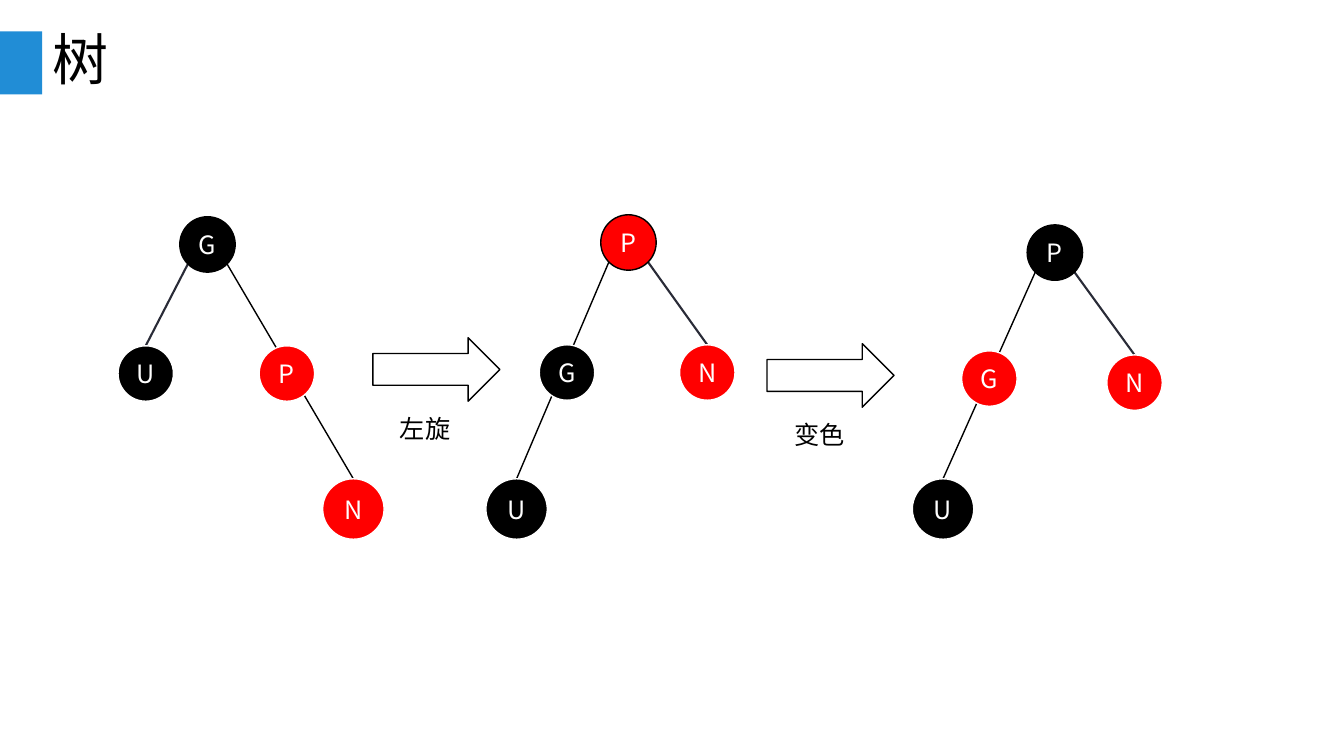
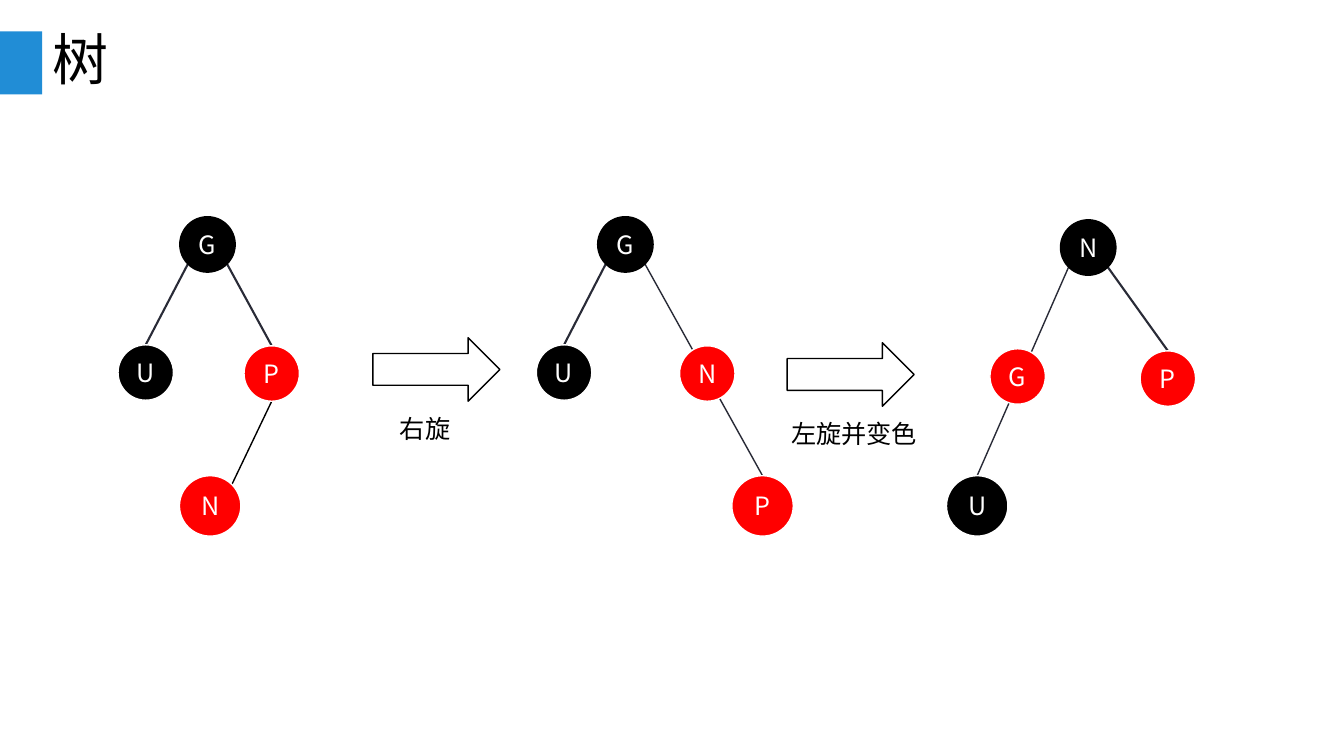
from math import cos, radians, sin

from pptx import Presentation
from pptx.dml.color import RGBColor
from pptx.enum.shapes import MSO_CONNECTOR, MSO_SHAPE
from pptx.enum.text import MSO_ANCHOR, MSO_AUTO_SIZE, PP_ALIGN
from pptx.oxml.ns import qn
from pptx.util import Pt

FONT = "Noto Sans CJK SC"
BLACK, RED, WHITE, SLATE, BLUE = "000000", "FF0000", "FFFFFF", "292B37", "218DD6"

# Node diameters and outlines by depth in the tree
NODE_SIZES = [(39.6, 39.6), (39.6, 39.6), (43.9, 43.2)]
NODE_OUTLINES = [BLACK, WHITE, WHITE]
ARROW_WIDTH, ARROW_HEIGHT = 90.7, 45.4

# Points on a node's rim, in degrees clockwise from the right
LOWER_RIGHT, BOTTOM, LOWER_LEFT, TOP, UPPER_RIGHT = 45, 90, 135, 270, 315

THIN_BLACK, THIN_SLATE, THICK_SLATE = (BLACK, 1), (SLATE, 1), (SLATE, 1.5)

# Each tree: nodes {label: (centre x, centre y, depth, fill)} and
# edges (upper node, its rim point, lower node, its rim point, line style).
# Each step: arrow left, arrow top, label left, label.
SLIDES = [
    {
        "trees": [
            ({"G": (148.2, 174.6, 0, BLACK), "U": (104.1, 266.8, 1, BLACK),
              "P": (204.9, 266.8, 1, RED), "N": (252.4, 363.6, 2, RED)},
             [("G", LOWER_LEFT, "U", TOP, THICK_SLATE),
              ("G", LOWER_RIGHT, "N", TOP, THIN_BLACK)]),
            ({"P": (448.9, 173.2, 0, RED), "G": (405, 266.1, 1, BLACK),
              "N": (505.2, 266.1, 1, RED), "U": (369, 363.6, 2, BLACK)},
             [("P", LOWER_LEFT, "U", TOP, THIN_BLACK),
              ("P", LOWER_RIGHT, "N", TOP, THICK_SLATE)]),
            ({"P": (753.5, 180.4, 0, BLACK), "G": (706.7, 270.4, 1, RED),
              "N": (810.4, 273.3, 1, RED), "U": (673.6, 363.6, 2, BLACK)},
             [("P", LOWER_LEFT, "U", TOP, THIN_BLACK),
              ("P", LOWER_RIGHT, "N", TOP, THICK_SLATE)]),
        ],
        "steps": [(266.4, 241.2, 278.6, "左旋"), (547.9, 245.5, 560.2, "变色")],
    },
    {
        "trees": [
            ({"G": (148.2, 174.6, 0, BLACK), "U": (104.1, 266.1, 1, BLACK),
              "P": (194.1, 266.8, 1, RED), "N": (150.1, 361.4, 2, RED)},
             [("G", LOWER_LEFT, "U", TOP, THICK_SLATE),
              ("G", LOWER_RIGHT, "P", TOP, THICK_SLATE),
              ("P", BOTTOM, "N", UPPER_RIGHT, THIN_BLACK)]),
            ({"G": (446.7, 174.6, 0, BLACK), "U": (402.9, 266.1, 1, BLACK),
              "N": (505.2, 266.8, 1, RED), "P": (544.7, 361.4, 2, RED)},
             [("G", LOWER_LEFT, "U", TOP, THICK_SLATE),
              ("G", LOWER_RIGHT, "P", TOP, THIN_SLATE)]),
            ({"N": (777.3, 176.8, 0, BLACK), "G": (726.9, 268.9, 1, RED),
              "P": (834.2, 270.4, 1, RED), "U": (698, 361.4, 2, BLACK)},
             [("N", LOWER_LEFT, "U", TOP, THIN_SLATE),
              ("N", LOWER_RIGHT, "P", TOP, THICK_SLATE)]),
        ],
        "steps": [(266.4, 241.2, 278.6, "右旋"), (562.3, 244.8, 558, "左旋并变色")],
    },
]

rgb = RGBColor.from_string


def write(shape, text, size, color, align):
    """Put one formatted line of text into a shape and return its paragraph."""
    shape.text_frame.text = text
    paragraph = shape.text_frame.paragraphs[0]
    paragraph.alignment = align
    font = paragraph.runs[0].font
    font.name, font.size, font.color.rgb = FONT, Pt(size), rgb(color)
    east_asian = font._element.makeelement(qn("a:ea"), {"typeface": FONT})
    font._element.find(qn("a:latin")).addnext(east_asian)
    return paragraph


def add_filled(slide, preset, box, fill, outline):
    """Add a flat preset shape; without an outline colour it has no line."""
    shape = slide.shapes.add_shape(preset, *[Pt(length) for length in box])
    shape.shadow.inherit = False
    shape.fill.solid()
    shape.fill.fore_color.rgb = rgb(fill)
    if outline:
        shape.line.color.rgb = rgb(outline)
        shape.line.width = Pt(1)
    else:
        shape.line.fill.background()
    return shape


prs = Presentation()
prs.slide_width, prs.slide_height = Pt(960), Pt(540)
layout = prs.slide_layouts.get_by_name("Title Only")

# Shared title position, inherited from the layout
layout_title = layout.placeholders[0]
layout_title.left, layout_title.top = Pt(30.2), Pt(21.6)
layout_title.width, layout_title.height = Pt(900), Pt(46)

for number, content in enumerate(SLIDES):
    slide = prs.slides.add_slide(layout)

    # The blue band is made once and moved to the layout
    if number == 0:
        band = add_filled(slide, MSO_SHAPE.RECTANGLE, (0, 22.5, 30.2, 45), BLUE, None)
        layout.shapes.element.append(band.element)

    heading = write(slide.shapes.title, "树", 40, BLACK, PP_ALIGN.LEFT)
    heading.line_spacing = 0.9
    slide.shapes.title.text_frame.vertical_anchor = MSO_ANCHOR.MIDDLE
    slide.shapes.title.text_frame.auto_size = MSO_AUTO_SIZE.NONE

    for nodes, edges in content["trees"]:
        # Edges come first, so that long ones run behind the middle node
        for upper, start, lower, end, (color, weight) in edges:
            ends = []
            for label, angle in ((upper, start), (lower, end)):
                x, y, depth, _ = nodes[label]
                width, height = NODE_SIZES[depth]
                ends += [Pt(x + width / 2 * cos(radians(angle))),
                         Pt(y + height / 2 * sin(radians(angle)))]
            edge = slide.shapes.add_connector(MSO_CONNECTOR.STRAIGHT, *ends)
            edge.line.color.rgb = rgb(color)
            edge.line.width = Pt(weight)
            properties = edge.element.spPr
            properties.append(properties.makeelement(qn("a:effectLst"), {}))

        for label, (x, y, depth, fill) in nodes.items():
            width, height = NODE_SIZES[depth]
            box = (x - width / 2, y - height / 2, width, height)
            node = add_filled(slide, MSO_SHAPE.OVAL, box, fill, NODE_OUTLINES[depth])
            write(node, label, 18, WHITE, PP_ALIGN.CENTER)
            frame = node.text_frame
            frame.vertical_anchor = MSO_ANCHOR.MIDDLE
            frame.margin_left = frame.margin_right = 0
            frame.margin_top = frame.margin_bottom = 0

    for arrow_left, arrow_top, label_left, step in content["steps"]:
        box = (arrow_left, arrow_top, ARROW_WIDTH, ARROW_HEIGHT)
        add_filled(slide, MSO_SHAPE.RIGHT_ARROW, box, WHITE, BLACK)
        caption = slide.shapes.add_textbox(
            Pt(label_left), Pt(arrow_top + 50.7), Pt(18 * len(step) + 14.4), Pt(29))
        caption.text_frame.word_wrap = False
        caption.text_frame.auto_size = MSO_AUTO_SIZE.SHAPE_TO_FIT_TEXT
        write(caption, step, 18, BLACK, PP_ALIGN.LEFT)

prs.save("out.pptx")
